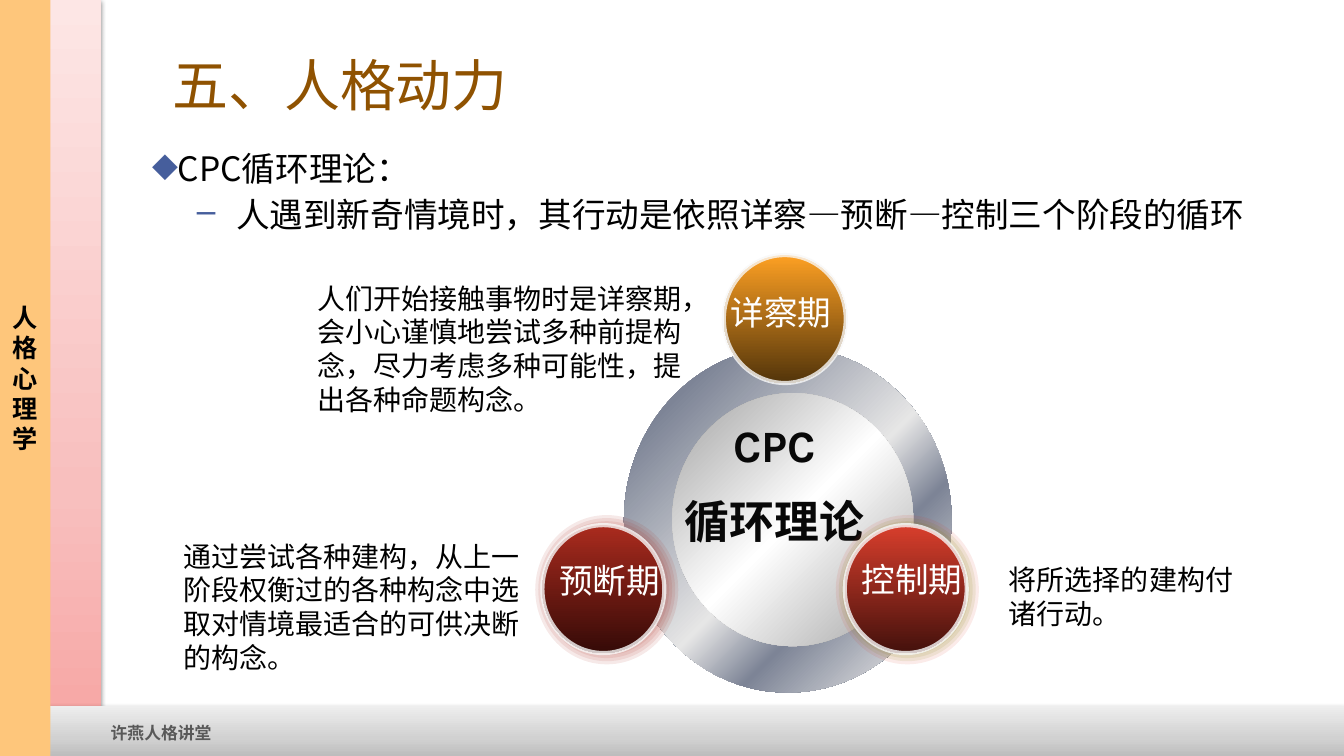
import pptx
import pptx.util
import pptx.dml.color
import pptx.enum.shapes
import pptx.enum.text
import pptx.oxml
import pptx.oxml.ns

Pt = pptx.util.Pt
Shape = pptx.enum.shapes.MSO_SHAPE
Align = pptx.enum.text.PP_ALIGN
Anchor = pptx.enum.text.MSO_ANCHOR

theme = {
    "sans": "Noto Sans CJK SC", "head": "Arial", "ball": "Karla",
    "black": "000000", "white": "FFFFFF", "brown": "8F5201",
    "core": "080808", "foot": "595959", "side": "FEC67B",
    "mark": "465E9C", "rim": "F8F8F8",
    "pink": [(0, "F7A3A1"), (35, "F8BFBE"), (100, "FDE6E5")],
    "gray": [(0, "BDBDBD"), (35, "D1D1D1"), (100, "EEEEEE")],
    "ring": [(0, "E6E6E6"), (15, "7D8496"), (53, "E6E6E6"),
             (68, "7D8496"), (93, "E6E6E6"), (100, "FFFFFF")],
    "disc": [(0, "A1A1A1"), (50, "FFFFFF"), (100, "A1A1A1")],
    "title": 40, "hub": 32, "large": 24, "note": 20, "strip": 18, "small": 12,
}

title = "五、人格动力"
points = [
    ("CPC循环理论：", "◆", 18, -18),
    ("人遇到新奇情境时，其行动是依照详察—预断—控制三个阶段的循环", "–", 60, -28),
]
hub = ["CPC", "循环理论"]
notes = [
    ("人们开始接触事物时是详察期，会小心谨慎地尝试多种前提构念，尽力考虑多种可能性，提出各种命题构念。",
     (219.6, 197.3, 293, 104.4)),
    ("通过尝试各种建构，从上一阶段权衡过的各种构念中选取对情境最适合的可供决断的构念。",
     (123.8, 381.6, 257.8, 104.4)),
    ("将所选择的建构付诸行动。", (713.5, 398.2, 186.5, 55.4)),
]
halos = [
    (382.3, ["AA2B1E"] * 4),
    (597, ["D83E2C"] + ["817E00"] * 3),
]
balls = [
    ("详察期", (517, 182.2), (514.8, 205.2), ("FDA023", "52340A")),
    ("预断期", (387.4, 375.1), (392.4, 396.7), ("AA2B1E", "350A07")),
    ("控制期", (603.4, 375.1), (608.4, 396), ("D83E2C", "44110C")),
]

deck = pptx.Presentation()
deck.slide_width, deck.slide_height = Pt(960), Pt(540)
slide = deck.slides.add_slide(deck.slide_layouts[6])


def color(code):
    return pptx.dml.color.RGBColor.from_string(code)


def node(text):
    space = pptx.oxml.ns.nsdecls("a")
    return pptx.oxml.parse_xml(text.replace(">", f" {space}>", 1))


def fade(fill, share):
    tone = fill._xPr.find(".//" + pptx.oxml.ns.qn("a:srgbClr"))
    tone.append(node(f'<a:alpha val="{share * 1000}"></a:alpha>'))


def shadow(blur, dist, angle, share):
    return node(
        f'<a:effectLst><a:outerShdw blurRad="{Pt(blur)}" dist="{Pt(dist)}" '
        f'dir="{angle * 60000}" rotWithShape="0"><a:srgbClr val="000000">'
        f'<a:alpha val="{share * 1000}"/></a:srgbClr></a:outerShdw></a:effectLst>')


def blend(shape, stops, angle):
    props = shape._element.spPr
    old = props.find(pptx.oxml.ns.qn("a:solidFill"))
    marks = "".join(f'<a:gs pos="{spot * 1000}"><a:srgbClr val="{code}"/></a:gs>'
                    for spot, code in stops)
    props.replace(old, node(
        f'<a:gradFill rotWithShape="1"><a:gsLst>{marks}</a:gsLst>'
        f'<a:lin ang="{angle * 60000}" scaled="0"/></a:gradFill>'))


def draw(kind, box, code="FFFFFF", stops=None, angle=0):
    shape = slide.shapes.add_shape(kind, *map(Pt, box))
    shape.shadow.inherit = False
    shape.fill.solid()
    shape.fill.fore_color.rgb = color(code)
    shape.line.fill.background()
    if stops:
        blend(shape, stops, angle)
    return shape


def style(para, text, size, code, face, bold=False, align=Align.LEFT):
    para.text = text
    para.alignment = align
    font = para.font
    font.size, font.bold, font.name = Pt(size), bold, face
    font.color.rgb = color(code)


def write(box, lines, size, code, face, bold=False, align=Align.LEFT,
          anchor=Anchor.TOP, wrap=True, gap=0):
    frame = slide.shapes.add_textbox(*map(Pt, box)).text_frame
    frame.word_wrap, frame.vertical_anchor = wrap, anchor
    for rank, line in enumerate(lines):
        para = frame.add_paragraph() if rank else frame.paragraphs[0]
        style(para, line, size, code, face, bold, align)
        para.space_before = Pt(gap if rank else 0)
    return frame


def bullet(para, sign, left, hang):
    props = para._p.get_or_add_pPr()
    props.set("marL", str(Pt(left)))
    props.set("indent", str(Pt(hang)))
    props.append(node(f'<a:buClr><a:srgbClr val="{theme["mark"]}"/></a:buClr>'))
    props.append(node(f'<a:buChar char="{sign}"></a:buChar>'))


for box, stops in [((36, 0, 36, 540), theme["pink"]),
                   ((0, 504, 960, 36), theme["gray"])]:
    band = draw(Shape.RECTANGLE, box, stops=stops, angle=270)
    props = band._element.spPr
    props.replace(props.find(pptx.oxml.ns.qn("a:effectLst")),
                  shadow(3.1, 1.6, 90, 38))

side = draw(Shape.RECTANGLE, (0, 0, 36, 540), theme["side"])
side.text_frame.word_wrap = True
side.text_frame.vertical_anchor = Anchor.MIDDLE
style(side.text_frame.paragraphs[0], "人格心理学", theme["strip"],
      theme["black"], theme["sans"], True, Align.CENTER)
write((72, 512.6, 87.1, 21.6), ["许燕人格讲堂"], theme["small"],
      theme["foot"], theme["sans"], True, wrap=False)

write((115.9, 15.1, 766.8, 90), [title], theme["title"], theme["brown"],
      theme["head"], anchor=Anchor.MIDDLE)

body = slide.shapes.add_textbox(*map(Pt, (101.5, 105.1, 848.9, 113.8))).text_frame
body.word_wrap = True
for rank, (text, sign, left, hang) in enumerate(points):
    para = body.add_paragraph() if rank else body.paragraphs[0]
    para.line_spacing = 0.9
    para.space_before = Pt(7.2 if rank else 0)
    bullet(para, sign, left, hang)
    style(para, text, theme["large"], theme["black"], theme["sans"],
          align=Align.JUSTIFY)

draw(Shape.OVAL, (445.7, 247.7, 234, 247), stops=theme["ring"], angle=45)
draw(Shape.OVAL, (480.2, 280.8, 172.1, 180.7), stops=theme["disc"], angle=45)
write((477.4, 294.5, 151.9, 104.4), hub, theme["hub"], theme["core"],
      theme["ball"], True, Align.CENTER, gap=16)

for text, box in notes:
    write(box, [text], theme["note"], theme["black"], theme["sans"])

for left, codes in halos:
    for rank, code in enumerate(codes):
        inset = 2.2 * rank
        halo = draw(Shape.OVAL, (left + inset, 367.9 + inset,
                                 102.2 - 2 * inset, 106.6 - 2 * inset), code)
        fade(halo.fill, 10)

for text, spot, label, (light, dark) in balls:
    ball = draw(Shape.OVAL, (*spot, 87.1, 91.4),
                stops=[(0, light), (100, dark)], angle=90)
    ball.line.color.rgb = color(theme["rim"])
    ball.line.width = Pt(3)
    fade(ball.line.fill, 80)
    frame = write((*label, 92, 36), [text], theme["large"],
                  theme["white"], theme["ball"])
    run = frame.paragraphs[0].runs[0]
    run._r.get_or_add_rPr().append(shadow(0, 1.5, 45, 60))

deck.save("out.pptx")
